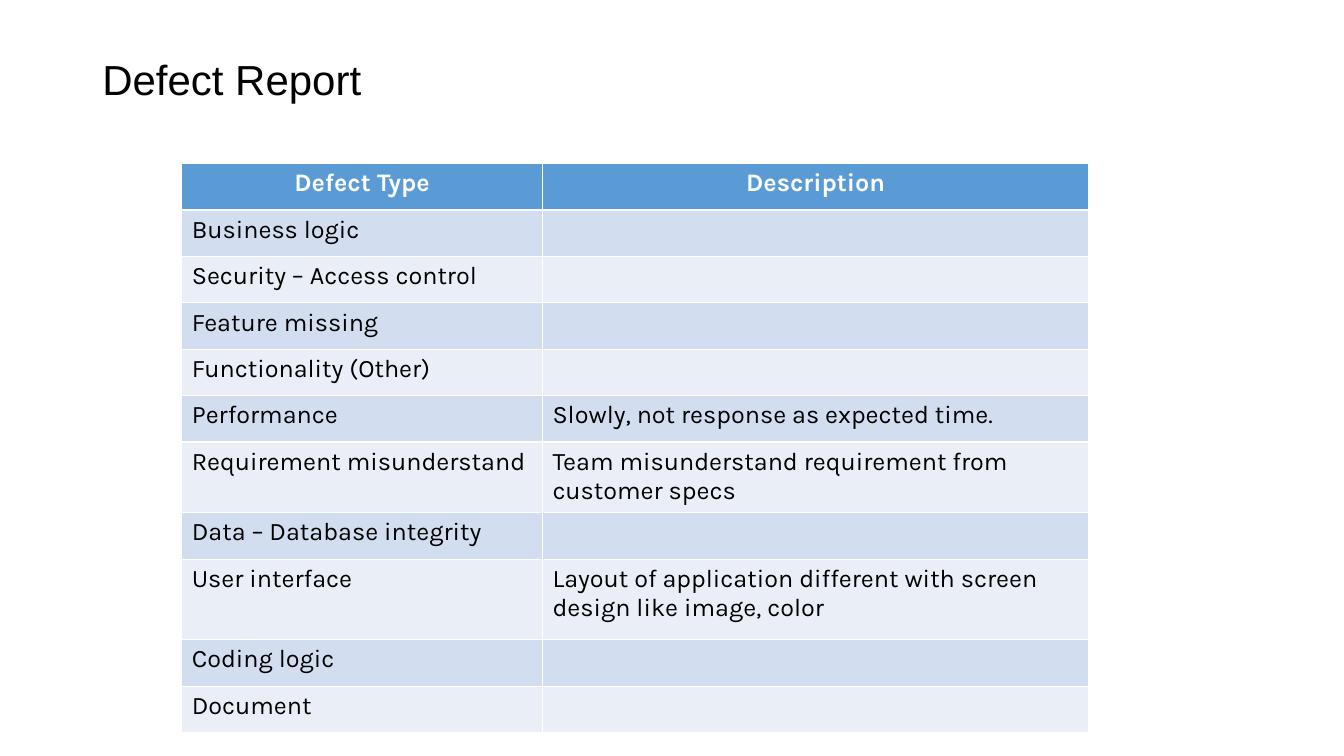
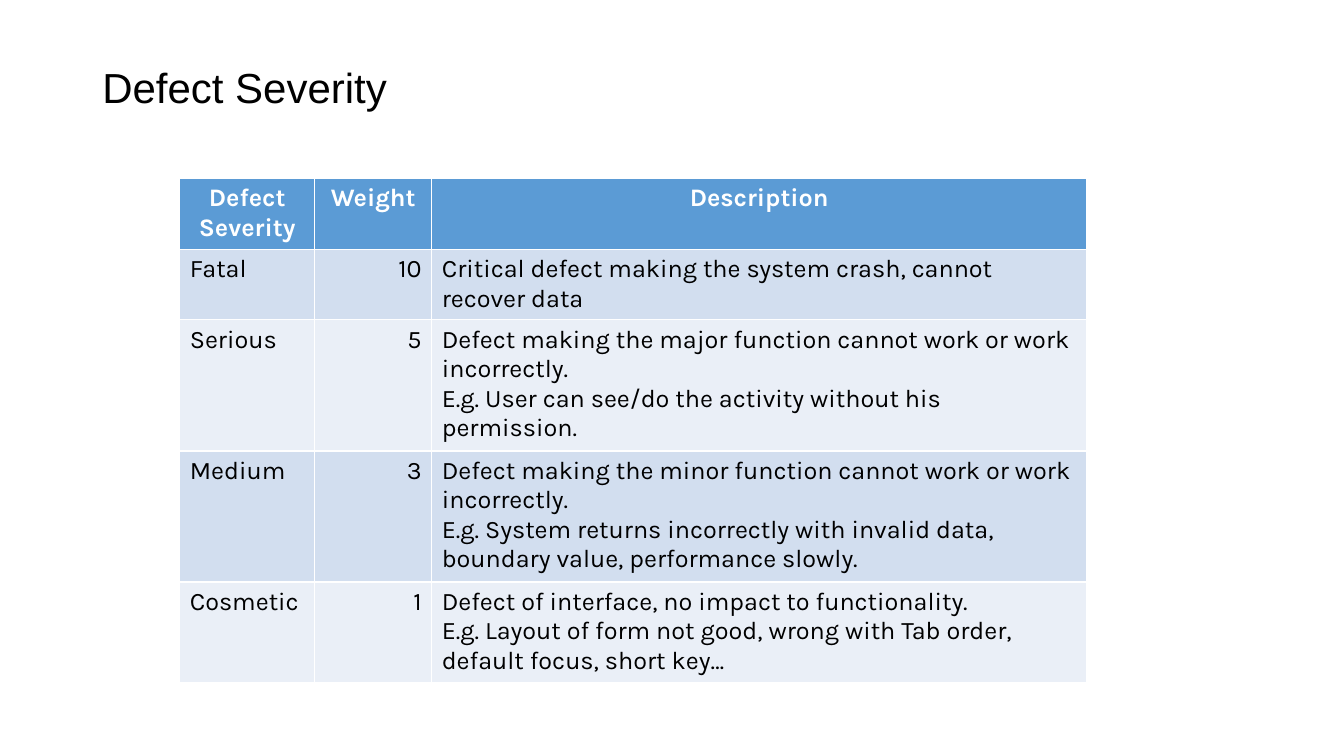
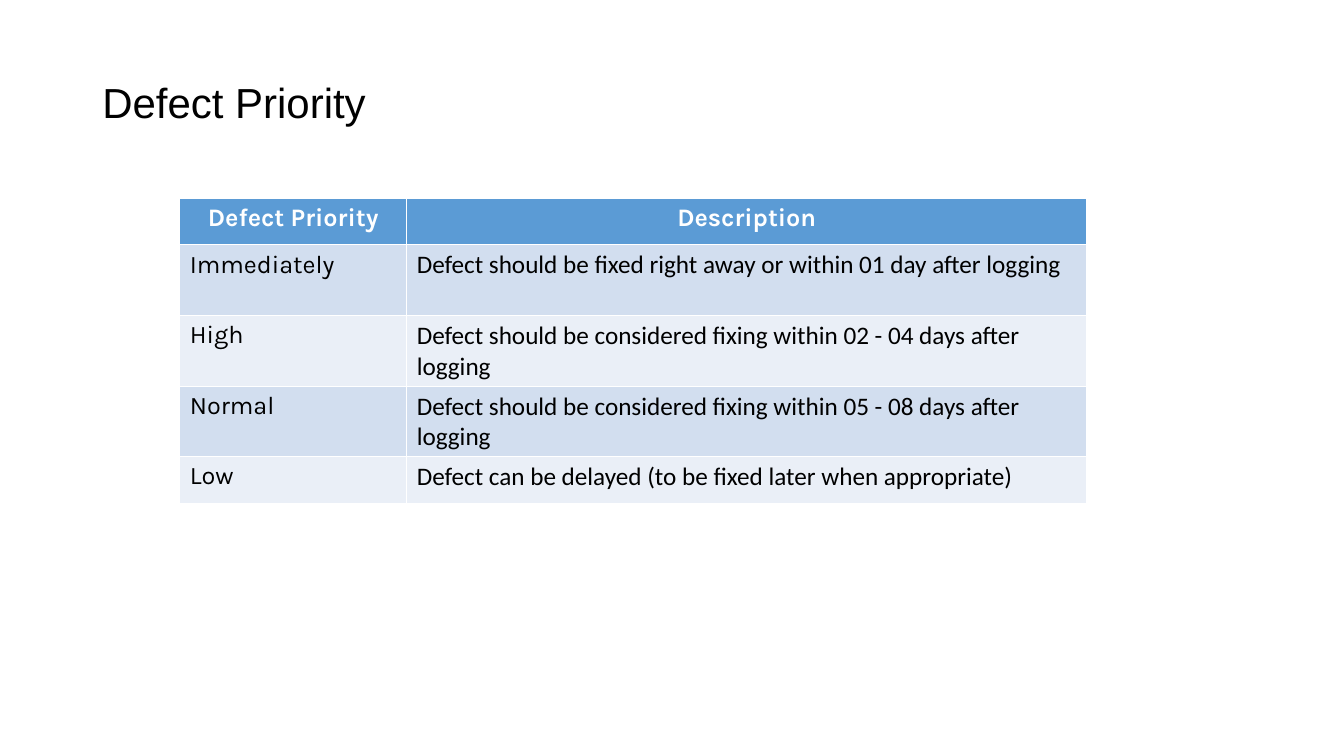
from pptx import Presentation, util as u
from pptx.dml.color import RGBColor
from pptx.enum import text

# Shared look
HEAD, BANDS = "5B9BD5", ("D2DEEF", "EAEFF7")
WHITE, BLACK = "FFFFFF", "000000"
LEFT, MID, RIGHT = text.PP_ALIGN.LEFT, text.PP_ALIGN.CENTER, text.PP_ALIGN.RIGHT
TITLE = {"name": "Arial", "size": u.Pt(30)}
TOP = {"name": "Karla", "size": u.Pt(18), "bold": True}
BODY = {"name": "Karla", "size": u.Pt(18), "bold": False}
PLAIN = {**BODY, "name": "Calibri"}

# Row heights in cm: one line, two lines
ONE, TWO = 1.17, 1.78


def tint(fmt, code):
    """Colour a font or a solid fill."""
    color = fmt.color if hasattr(fmt, "color") else fmt.fore_color
    color.rgb = RGBColor.from_string(code)


def write(frame, words, style, code, align=LEFT):
    """Put words in a frame, one paragraph per line."""
    for i, line in enumerate(words.split("\n")):
        para = frame.add_paragraph() if i else frame.paragraphs[0]
        para.alignment = align
        run = para.add_run()
        run.text = line
        for key, val in style.items():
            setattr(run.font, key, val)
        tint(run.font, code)


def title(slide, words, top):
    box = slide.shapes.add_textbox(u.Cm(2.33), u.Cm(top), u.Cm(29.21), u.Cm(2.38))
    box.text_frame.word_wrap = True
    write(box.text_frame, words, TITLE, BLACK)
    box.text_frame.paragraphs[0].line_spacing = 0.9


def table(slide, left, top, cols, highs, rows):
    """cols holds (width, style, alignment) for each column."""
    wide = sum(col[0] for col in cols)
    grid = slide.shapes.add_table(len(rows), len(cols), u.Cm(left), u.Cm(top),
                                  u.Cm(wide), u.Cm(sum(highs))).table
    for col, (width, _, _) in zip(grid.columns, cols):
        col.width = u.Cm(width)
    for r, (row, high) in enumerate(zip(rows, highs)):
        grid.rows[r].height = u.Cm(high)
        for c, (_, style, align) in enumerate(cols):
            cell = grid.cell(r, c)
            cell.fill.solid()
            tint(cell.fill, BANDS[(r - 1) % 2] if r else HEAD)
            if not row[c]:
                continue
            look = (style, BLACK, align) if r else (TOP, WHITE, MID)
            write(cell.text_frame, row[c], *look)


# Content
TYPES = [
    ("Defect Type", "Description"),
    ("Business logic", ""),
    ("Security – Access control", ""),
    ("Feature missing", ""),
    ("Functionality (Other)", ""),
    ("Performance", "Slowly, not response as expected time."),
    ("Requirement misunderstand", "Team misunderstand requirement from customer specs"),
    ("Data – Database integrity", ""),
    ("User interface",
     "Layout of application different with screen design like image, color"),
    ("Coding logic", ""),
    ("Document", ""),
]
LEVELS = [
    ("Defect Severity", "Weight", "Description"),
    ("Fatal", "10", "Critical defect making the system crash, cannot recover data"),
    ("Serious", "5",
     "Defect making the major function cannot work or work incorrectly.\n"
     "E.g. User can see/do the activity without his permission."),
    ("Medium", "3",
     "Defect making the minor function cannot work or work incorrectly.\n"
     "E.g. System returns incorrectly with invalid data, boundary value, "
     "performance slowly."),
    ("Cosmetic", "1",
     "Defect of interface, no impact to functionality.\n"
     "E.g. Layout of form not good, wrong with Tab order, default focus, short key…"),
]
RANKS = [
    ("Defect Priority", "Description"),
    ("Immediately", "Defect should be fixed right away or within 01 day after logging"),
    ("High", "Defect should be considered fixing within 02 - 04 days after logging"),
    ("Normal", "Defect should be considered fixing within 05 - 08 days after logging"),
    ("Low", "Defect can be delayed (to be fixed later when appropriate)"),
]


def main():
    deck = Presentation()
    deck.slide_width, deck.slide_height = u.Cm(33.87), u.Cm(19.05)

    def page():
        return deck.slides.add_slide(deck.slide_layouts[6])

    # Defect types
    slide = page()
    table(slide, 4.58, 4.12, [(9.09, BODY, LEFT), (13.77, BODY, LEFT)],
          [ONE] * 6 + [TWO, ONE, 2.03, ONE, ONE], TYPES)
    title(slide, "Defect Report", 1.37)

    # Severity levels
    slide = page()
    table(slide, 4.53, 4.5,
          [(3.4, BODY, LEFT), (2.95, BODY, RIGHT), (16.51, BODY, LEFT)],
          [TWO, TWO, 2.54, 3.3, 2.54], LEVELS)
    title(slide, "Defect Severity", 1.58)

    # Priority ranks
    slide = page()
    title(slide, "Defect Priority", 1.95)
    table(slide, 4.53, 5, [(5.72, BODY, LEFT), (17.14, PLAIN, LEFT)],
          [ONE, TWO, TWO, TWO, ONE], RANKS)

    deck.save("out.pptx")


if __name__ == "__main__":
    main()
